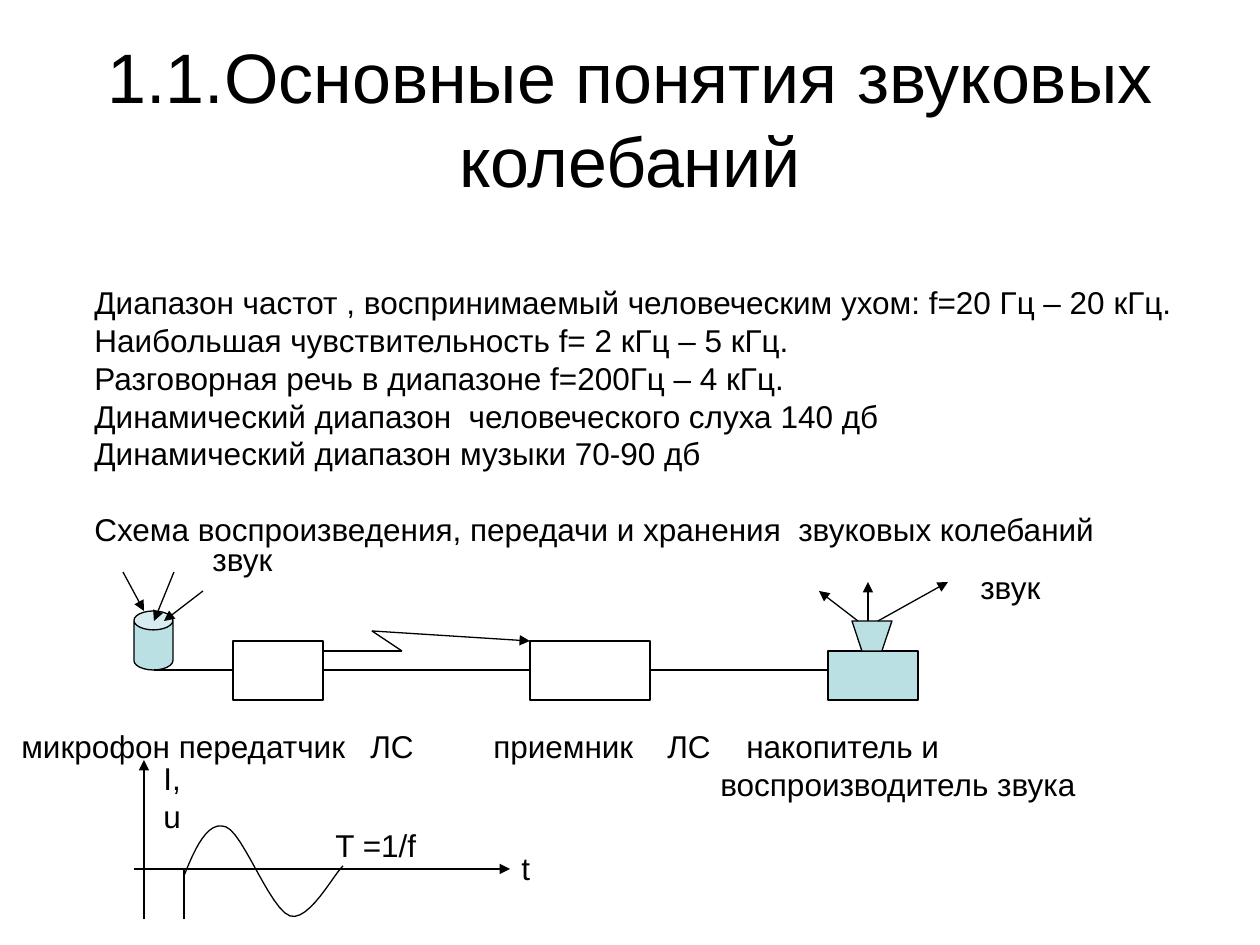
from lxml import etree
from pptx import Presentation
from pptx.dml.color import RGBColor
from pptx.enum.shapes import MSO_CONNECTOR as Connector, MSO_SHAPE as Preset
from pptx.enum.text import MSO_ANCHOR as Anchor, PP_ALIGN as Align
from pptx.oxml.ns import qn
from pptx.util import Emu, Pt

SCALE = 914400 // 126


def px(length):
    """Turn pixels into EMU."""
    return Emu(round(length * SCALE))


def colour(code):
    """Turn a hex string into a colour."""
    return RGBColor.from_string(code)


def write(frame, lines, size=18, align=Align.LEFT, tabs=(), gaps=None):
    """Write paragraphs; tabs holds stops per line, gaps the space before by line index."""
    for index, line in enumerate(lines):
        para = frame.paragraphs[0] if index == 0 else frame.add_paragraph()
        para.alignment = align
        if gaps and index in gaps:
            para.space_before = Pt(gaps[index])
        if tabs:
            stops = etree.SubElement(para._p.get_or_add_pPr(), qn("a:tabLst"))
            for stop in tabs[index]:
                etree.SubElement(stops, qn("a:tab"), pos=str(px(stop)), algn="l")
        span = para.add_run()
        span.text = line
        span.font.size = Pt(size)
        span.font.name = Sketch.FONT
        span.font.color.rgb = colour(Sketch.INK)


def bezier(start, control_1, control_2, end, steps=12):
    """List the points along a cubic curve after its start."""
    points = []
    for step in range(1, steps + 1):
        t = step / steps
        weights = ((1 - t) ** 3, 3 * t * (1 - t) ** 2, 3 * t * t * (1 - t), t ** 3)
        corners = (start, control_1, control_2, end)
        points.append(tuple(sum(w * c[axis] for w, c in zip(weights, corners))
                            for axis in (0, 1)))
    return points


class Sketch:
    """Style and drawing methods for one slide."""
    FONT, INK, AQUA, WEIGHT = "Arial", "000000", "BBE0E3", 0.74

    def __init__(self, page):
        """Keep the slide to draw on."""
        self.shapes = page.shapes

    def text(self, left, top, width, height, *lines, wrap=False, anchor=Anchor.TOP, **style):
        """Add a text box."""
        frame = self.shapes.add_textbox(*map(px, (left, top, width, height))).text_frame
        frame.word_wrap = wrap
        frame.vertical_anchor = anchor
        write(frame, lines, **style)

    def finish(self, shape, fill):
        """Give a shape its fill and outline."""
        shape.shadow.inherit = False
        if fill:
            shape.fill.solid()
            shape.fill.fore_color.rgb = colour(fill)
        else:
            shape.fill.background()
        shape.line.color.rgb = colour(self.INK)
        shape.line.width = Pt(self.WEIGHT)
        return shape

    def shape(self, preset, left, top, width, height, fill=None):
        """Add a preset shape."""
        return self.finish(self.shapes.add_shape(
            preset, *map(px, (left, top, width, height))), fill)

    def outline(self, points, fill=None, close=False):
        """Add a freeform through the points."""
        first, *others = [tuple(map(px, point)) for point in points]
        builder = self.shapes.build_freeform(*first, scale=1.0)
        builder.add_line_segments(others, close=close)
        return self.finish(builder.convert_to_shape(), fill)

    def line(self, *ends, arrow=False):
        """Add a straight line from x, y to x, y."""
        link = self.shapes.add_connector(Connector.STRAIGHT, *map(px, ends))
        link.line.color.rgb = colour(self.INK)
        link.line.width = Pt(self.WEIGHT)
        if arrow:
            etree.SubElement(link.line._get_or_add_ln(), qn("a:tailEnd"), type="triangle")
        etree.SubElement(link._element.spPr, qn("a:effectLst"))


deck = Presentation()
deck.slide_width, deck.slide_height = px(1260), px(945)
sketch = Sketch(deck.slides.add_slide(deck.slide_layouts[6]))

sketch.text(63, 38, 1134, 158, "1.1.Основные понятия звуковых колебаний",
            size=40, align=Align.CENTER, wrap=True, anchor=Anchor.MIDDLE)
sketch.text(82, 277, 1108, 277,
            "Диапазон частот , воспринимаемый человеческим ухом: f=20 Гц – 20 кГц.",
            "Наибольшая чувствительность f= 2 кГц – 5 кГц.",
            "Разговорная речь в диапазоне f=200Гц – 4 кГц.",
            "Динамический диапазон  человеческого слуха 140 дб",
            "Динамический диапазон музыки 70-90 дб",
            "Схема воспроизведения, передачи и хранения  звуковых колебаний",
            gaps={5: 21.6})

# Microphone, transmitter, receiver and player
microphone = sketch.shape(Preset.CAN, 134, 611, 39, 59, Sketch.AQUA)
microphone.adjustments[0] = 0.485
sketch.shape(Preset.RECTANGLE, 233, 641, 90, 59)
sketch.shape(Preset.RECTANGLE, 530, 641, 120, 59)
sketch.shape(Preset.RECTANGLE, 828, 651, 90, 49, Sketch.AQUA)
sketch.outline([(892, 621), (852, 621), (862, 651), (882, 651)], Sketch.AQUA, close=True)

for start, end in ((154, 233), (323, 530), (650, 828)):
    sketch.line(start, 670, end, 670)

sound_in = [(123, 572, 144, 611), (174, 572, 154, 621), (203, 591, 164, 621)]
sound_out = [(878, 621, 948, 582), (868, 621, 868, 582), (858, 621, 819, 591)]
radio_arrow = (372, 631, 530, 641)
axes = [(134, 869, 510, 869), (144, 869, 144, 760)]
for ends in (*sound_in, *sound_out, radio_arrow, *axes):
    sketch.line(*ends, arrow=True)

radio_path = [(323, 651, 402, 651), (402, 651, 372, 631)]
axis_tails = [(x, 869, x, 919) for x in (144, 184)]
for ends in radio_path + axis_tails:
    sketch.line(*ends)

# Sine wave over one period
wave = [(184, 876)]
for bend in (((195, 848), (208, 820), (226, 827)),
             ((243, 833), (270, 909), (290, 916)),
             ((309, 922), (334, 874), (343, 866))):
    wave += bezier(wave[-1], *bend)
sketch.outline(wave)

sketch.text(9, 721, 1197, 88,
            "микрофон передатчик\tЛС\tприемник\tЛС\tнакопитель и",
            "\tвоспроизводитель звука",
            wrap=True, tabs=((349, 472, 646, 725), (699,)))
for left, top, width, label in ((200, 534, 86, "звук"), (968, 562, 86, "звук"),
                                (509, 843, 34, "t"), (151, 753, 68, "I, u"),
                                (323, 820, 106, "T =1/f")):
    sketch.text(left, top, width, 50, label)

deck.save("out.pptx")
